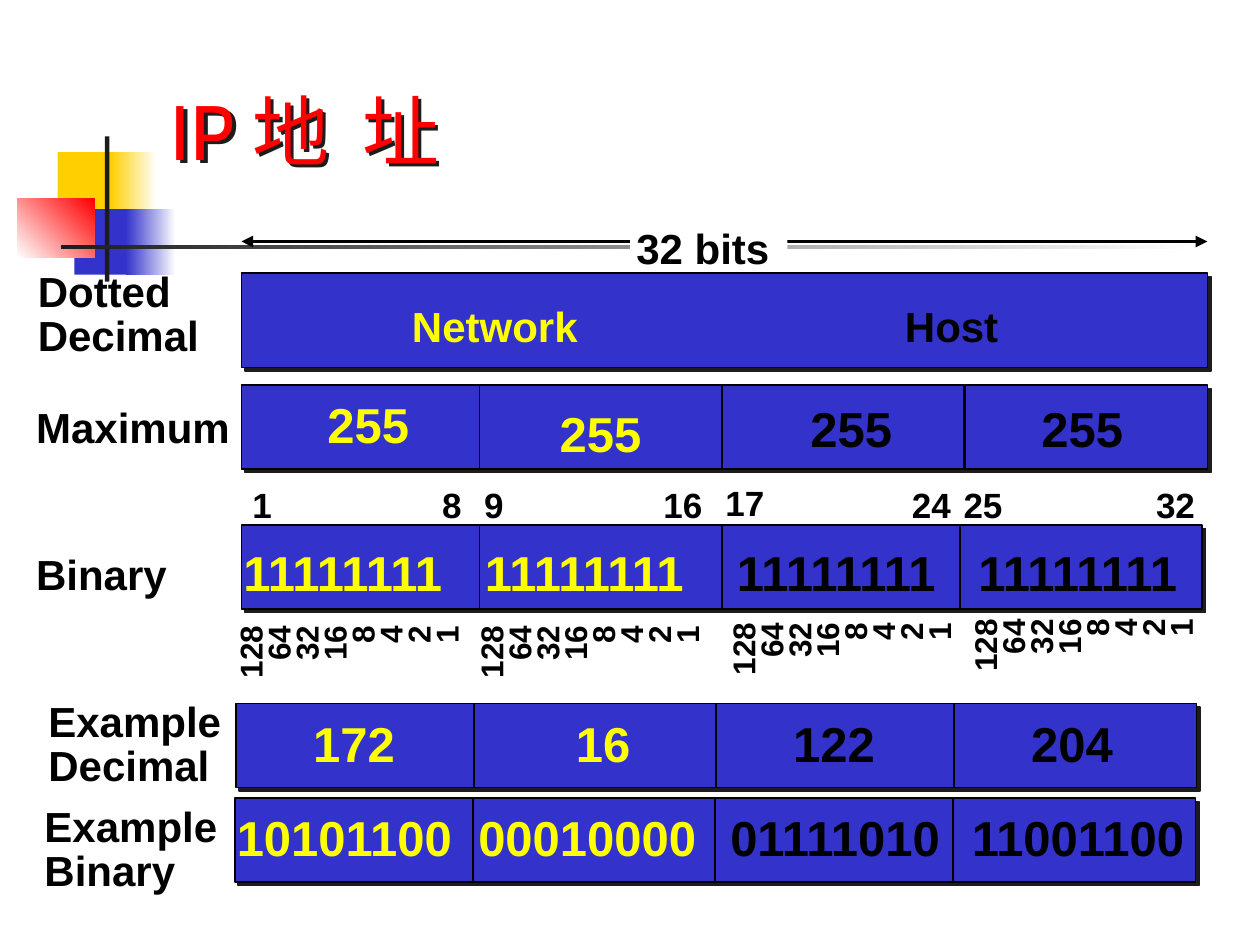
from lxml import etree
from pptx import Presentation
from pptx.dml import color as c
from pptx.enum import shapes as s, text as t
from pptx.oxml import ns
from pptx.util import Pt

LEFT, MID, RIGHT = t.PP_ALIGN.LEFT, t.PP_ALIGN.CENTER, t.PP_ALIGN.RIGHT
BLACK, YELLOW, BLUE, DARK, WHITE = "000000", "FFFF00", "3333CC", "1C1C1C", "FFFFFF"
INKS = (YELLOW, YELLOW, BLACK, BLACK)
STEPS = (0, 136, 274.5, 410.5)


def hue(code):
    return c.RGBColor.from_string(code)


def cast(shape):
    list_ = etree.SubElement(shape._element.spPr, ns.qn("a:effectLst"))
    shade = etree.SubElement(list_, ns.qn("a:outerShdw"), dist="35560", dir="2700000",
                             algn="ctr", rotWithShape="0")
    etree.SubElement(shade, ns.qn("a:srgbClr"), val=DARK)


def block(slide, box, fill, fade=None, angle=0, edge=False):
    shape = slide.shapes.add_shape(s.MSO_SHAPE.RECTANGLE, *map(Pt, box))
    if fade:
        shape.fill.gradient()
        shape.fill.gradient_angle = angle
        for stop, code, place in zip(shape.fill.gradient_stops, (fill, fade), (0, 1)):
            stop.color.rgb = hue(code)
            stop.position = place
    else:
        shape.fill.solid()
        shape.fill.fore_color.rgb = hue(fill)
    if edge:
        shape.line.color.rgb = hue(BLACK)
        shape.line.width = Pt(1)
        cast(shape)
    else:
        shape.line.fill.background()
        shape.shadow.inherit = False


def write(slide, box, lines, size, ink=BLACK, lead=None, align=LEFT,
          pad=(3.6, 6), anchor=t.MSO_ANCHOR.TOP, turn=0):
    item = slide.shapes.add_textbox(*map(Pt, box))
    item.rotation = turn
    frame = item.text_frame
    frame.word_wrap = False
    frame.vertical_anchor = anchor
    frame.margin_left = frame.margin_right = Pt(pad[0])
    frame.margin_top = frame.margin_bottom = Pt(pad[1])
    para = frame.paragraphs[0]
    para.alignment = align
    if lead:
        para.line_spacing = Pt(lead)
    for spot, line in enumerate(lines):
        if spot:
            para.add_line_break()
        run = para.add_run()
        run.text = line
        font = run.font
        font.name, font.size, font.bold = "Arial", Pt(size), True
        font.color.rgb = hue(ink)


def motif(slide, left, top):
    parts = (
        (23, 9, 34.5, 37.5, "FFCF01", None, 0),
        (53.5, 9, 26, 37.5, "FFCF01", WHITE, 0),
        (32.5, 41.5, 33, 37.5, BLUE, None, 0),
        (62, 41.5, 28.5, 37.5, BLUE, WHITE, 0),
        (0, 35.5, 44, 33.5, WHITE, "FF0000", 45),
        (50, 0, 2.5, 83, DARK, None, 0),
        (25, 62, 648, 2.5, DARK, WHITE, 0),
    )
    for x, y, wide, high, fill, fade, angle in parts:
        block(slide, (left + x, top + y, wide, high), fill, fade, angle)


def head(slide, box):
    title = slide.shapes.title
    title.left, title.top, title.width, title.height = map(Pt, box)
    cast(title)
    frame = title.text_frame
    frame.auto_size = t.MSO_AUTO_SIZE.NONE
    frame.vertical_anchor = t.MSO_ANCHOR.MIDDLE
    para = frame.paragraphs[0]
    para.alignment = LEFT
    for words, gap in (("IP 地", 0), (" ", 9), ("址", 0)):
        run = para.add_run()
        run.text = words
        run.font.name, run.font.size = "Cabin", Pt(44)
        run.font.color.rgb = hue("FF0000")
        if gap:
            run._r.get_or_add_rPr().set("spc", str(gap * 100))


def span(slide, left, top, wide):
    line = slide.shapes.add_connector(s.MSO_CONNECTOR.STRAIGHT,
                                      Pt(left), Pt(top), Pt(left + wide), Pt(top))
    line.line.color.rgb = hue(BLACK)
    line.line.width = Pt(2.25)
    edge = line.line._get_or_add_ln()
    for end in ("a:headEnd", "a:tailEnd"):
        etree.SubElement(edge, ns.qn(end), type="triangle")
    etree.SubElement(line._element.spPr, ns.qn("a:effectLst"))
    block(slide, (left + 222, top - 18, 90, 30), WHITE)
    write(slide, (left + 222, top - 36.5, 90, 60), ["32 bits"], 24, lead=48.4)


def parts(slide, left, top):
    block(slide, (left, top, 552, 54), BLUE, edge=True)
    for word, x, wide, ink in (("Network", 90, 109.5, YELLOW), ("Host", 372, 67.5, BLACK)):
        write(slide, (left + x, top + 12, wide, 36), [word], 24, ink,
              align=MID, pad=(7.2, 3.6), anchor=t.MSO_ANCHOR.MIDDLE)


def row(slide, left, top, words, shifts, drops, steps=STEPS):
    for step in steps:
        block(slide, (left + step, top, 138.5, 48), BLUE, edge=True)
    for word, x, y, ink in zip(words, shifts, drops, INKS):
        write(slide, (left + x, top + y, 146, 60), [word], 28, ink, lead=48.4)


def marks(slide, left, top):
    spots = (0, 108.5, 132.5, 240.5, 276, 382.5, 412, 522)
    for word, x in zip((1, 8, 9, 16, 17, 24, 25, 32), spots):
        y = -1.5 if word == 17 else 0
        write(slide, (left + x, top + y, 24.5, 34.5), [str(word)], 20, lead=23.6,
              align=MID, pad=(0, 0), anchor=t.MSO_ANCHOR.MIDDLE)


def powers(slide, left, top):
    lines = [str(2 ** n) for n in range(7, -1, -1)]
    for x, y in ((0, 0), (137.5, 0), (281.5, -1.5), (419.7, -3.6)):
        write(slide, (left + x, top + y, 38, 60), lines, 18, lead=16,
              align=RIGHT, turn=270)


def labels(slide):
    for lines, x, y, align in (
        (("Dotted", "Decimal"), 18, 149.5, LEFT),
        (("Maximum",), 16, 227.5, MID),
        (("Binary",), -2, 311.5, MID),
        (("Example", "Decimal"), 24, 395.5, LEFT),
        (("Example", "Binary"), 21.8, 455.5, LEFT),
    ):
        write(slide, (x, y, 120, 66), lines, 24, lead=25, align=align)


def main():
    deck = Presentation()
    deck.slide_width, deck.slide_height = Pt(720), Pt(540)
    slide = deck.slides.add_slide(deck.slide_layouts[5])
    motif(slide, 10, 78)
    head(slide, (90.5, 16.5, 613.5, 115))
    span(slide, 138, 138, 552)
    parts(slide, 138, 156)
    labels(slide)
    wide = (-2.5, 135.5, 279.5, 417.5)
    row(slide, 138, 220, ["255"] * 4, (45.5, 178.2, 321.5, 453.5),
        (-15.5, -10.5, -13, -13), (0, 136, 274.5, 413.5))
    marks(slide, 137.5, 271.5)
    row(slide, 138, 300, ["11111111"] * 4, wide, [-10.8] * 4)
    powers(slide, 142.7, 342.9)
    row(slide, 134.8, 402, ("172", "16", "122", "204"),
        (40.5, 190.7, 314.8, 450.8), [-15] * 4)
    row(slide, 134.2, 456, ("10101100", "00010000", "01111010", "11001100"),
        wide, [-15.5] * 4)
    deck.save("out.pptx")


if __name__ == "__main__":
    main()
